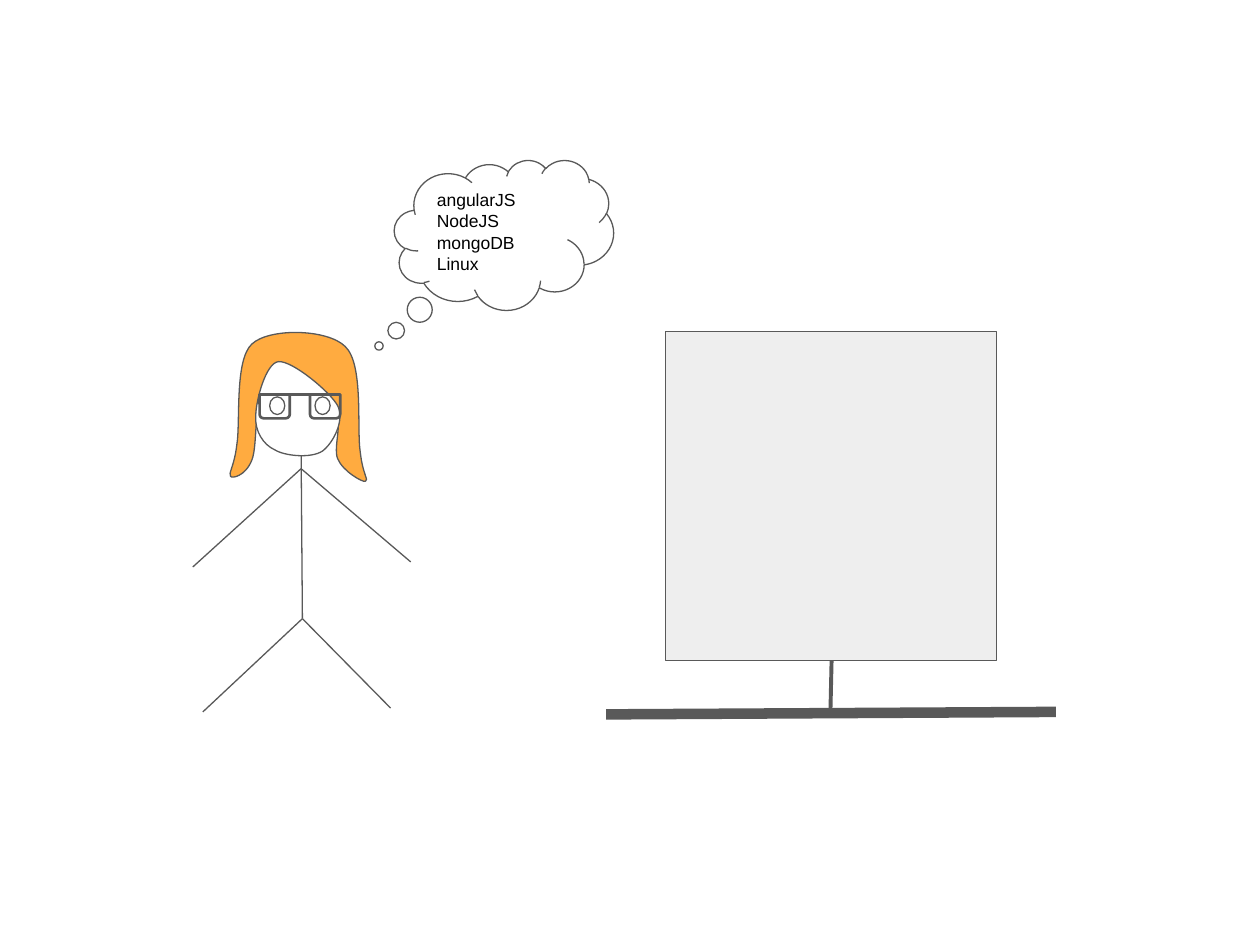
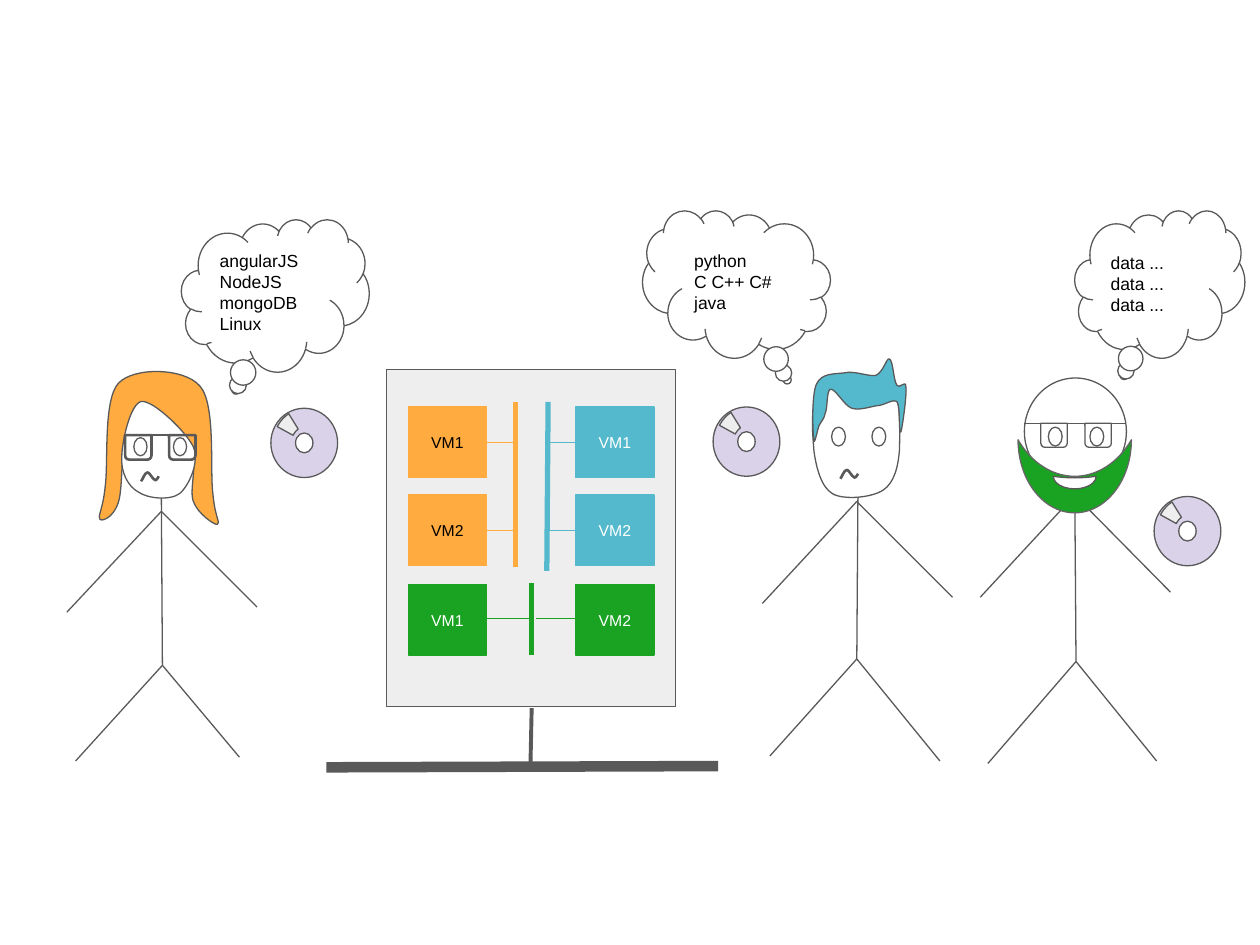
import copy
from dataclasses import dataclass

import pptx
import pptx.dml.color
import pptx.enum.shapes
import pptx.enum.text
import pptx.oxml.ns
import pptx.util
from lxml import etree

PRESET = pptx.enum.shapes.MSO_SHAPE
qn = pptx.oxml.ns.qn
PX = 9144  # 100 px to the inch
SLIDE_SIZE = (1000, 750)
INSET = 10


class Theme:
    font = "Arial"
    thought_size, label_size = 10, 9
    ink, beard_edge = "595959", "666666"
    black, white = "000000", "FFFFFF"
    panel, disc = "EEEEEE", "D9D2E9"
    orange, blue, green = "FFAB40", "55B9CD", "1AA222"
    thin, medium, stem, bus, base = 0.75, 1.5, 2.25, 3, 6


# Content: thoughts as box, tail adjustments, flipped, extra top inset, paragraphs
FIRST_THOUGHT = ((313, 127, 174, 119), (-0.57, 0.74), False, 0, ["angularJS\vNodeJS\vmongoDB\vLinux"])
THOUGHTS = [
    ((144, 174, 149, 121), (-0.21, 0.62), False, 0, ["angularJS NodeJS mongoDB", "Linux"]),
    ((510, 167, 149, 117), (-0.27, 0.65), True, 1, ["python\vC C++ C#", "java"]),
    ((853, 167, 135, 117), (-0.21, 0.62), False, 5, ["data ...\vdata ...", "data ..."]),
]

# Monitors: screen, stem, base
FIRST_MONITOR = ((528, 263, 263, 261), (660, 524, 659, 569), (481, 567, 838, 565))
SECOND_MONITOR = ((307, 293, 229, 268), (422, 562, 421, 608), (259, 609, 570, 608))

# Machines: label, column, row, fill, text colour, x where its wire ends
MACHINES = [
    ("VM1", 0, 0, Theme.orange, Theme.black, 409),
    ("VM2", 0, 1, Theme.orange, Theme.black, 409),
    ("VM1", 0, 2, Theme.green, Theme.white, 423),
    ("VM1", 1, 0, Theme.blue, Theme.white, 434),
    ("VM2", 1, 1, Theme.blue, Theme.white, 434),
    ("VM2", 1, 2, Theme.green, Theme.white, 425),
]
BUSES = [
    ((409, 319, 409, 450), Theme.orange),
    ((435, 319, 434, 453), Theme.blue),
    ((422, 463, 422, 520), Theme.green),
]
MACHINE_LEFTS, MACHINE_TOP, MACHINE_PITCH = (324, 457), 323, 70.5
MACHINE_WIDTH, MACHINE_HEIGHT = 62, 56
WIRE_TOP, WIRE_PITCH = 351, 70
DISCS = [(215, 324), (566, 323), (916, 394)]

# Bodies: neck, shoulder, hip, then hands and feet
WOMAN_BODY = ((239, 358), (239, 372), (240, 491), [(153, 450), (326, 446)], [(161, 565), (310, 562)])
MAN_BODY = ((681, 380), (680, 398), (680, 523), [(605, 479), (756, 474)], [(611, 600), (746, 604)])
BEARDED_BODY = ((853, 388), (853, 393), (854, 525), [(778, 474), (929, 470)], [(784, 606), (918, 604)])

# Where the woman stands on each slide: left, top, width, height
WOMAN_BOX, SMALL_WOMAN_BOX = (153, 264, 173, 301), (53, 295, 151, 309)

# Curves: a start point, then two control points and an end point per piece
WOMAN_HAIR = [
    (183, 378), (184, 380), (195, 378), (200, 365), (205, 353), (201, 310), (212, 303),
    (222, 296), (255, 311), (264, 321), (274, 332), (264, 354), (268, 364),
    (272, 374), (288, 383), (290, 382), (293, 381), (288, 377), (286, 359),
    (283, 341), (289, 289), (274, 275), (260, 261), (214, 260), (200, 273),
    (186, 286), (191, 335), (188, 353), (186, 370), (181, 376), (183, 378),
]
WOMAN_FACE = [
    (203, 330), (202, 342), (209, 353), (218, 357), (226, 362), (247, 364), (256, 358),
    (264, 352), (274, 334), (268, 322), (262, 311), (232, 286), (221, 287),
    (211, 288), (203, 318), (203, 330),
]
MAN_FACE = [
    (652, 309), (642, 318), (645, 344), (646, 358), (648, 372), (652, 387), (661, 392),
    (670, 397), (692, 395), (701, 389), (710, 383), (713, 370), (714, 356),
    (714, 342), (716, 313), (706, 305), (695, 297), (662, 300), (652, 309),
]
MAN_HAIR = [
    (646, 349), (645, 344), (644, 314), (648, 305), (652, 296), (662, 297), (670, 296),
    (678, 294), (689, 299), (695, 298), (701, 296), (704, 283), (706, 285),
    (709, 286), (709, 302), (712, 306), (714, 309), (719, 301), (719, 307),
    (720, 313), (716, 341), (715, 343), (713, 345), (715, 323), (712, 319),
    (709, 316), (702, 322), (696, 322), (690, 323), (682, 326), (676, 324),
    (670, 322), (663, 308), (659, 309), (656, 310), (657, 324), (655, 328),
    (654, 333), (652, 334), (650, 338), (649, 341), (646, 355), (646, 349),
]
WAVY_MOUTH = [(0, 7), (1, 6), (3, 0), (5, 0), (6, -1), (9, 5), (11, 6), (12, 7), (14, 3), (14, 3)]


def color(value):
    return pptx.dml.color.RGBColor.from_string(value)


def style(shape, fill, line=Theme.ink, width=Theme.thin):
    shape.shadow.inherit = False
    if fill:
        shape.fill.solid()
        shape.fill.fore_color.rgb = color(fill)
    else:
        shape.fill.background()
    shape.line.color.rgb = color(line)
    shape.line.width = pptx.util.Pt(width)


def write(shape, lines, size, text_color, alignment, drop=0):
    frame = shape.text_frame
    frame.word_wrap = True
    frame.vertical_anchor = pptx.enum.text.MSO_ANCHOR.MIDDLE
    frame.margin_left = frame.margin_right = frame.margin_bottom = INSET * PX
    frame.margin_top = (INSET + drop) * PX
    frame.text = "\n".join(lines)
    for paragraph in frame.paragraphs:
        paragraph.alignment = alignment
        for run in paragraph.runs:
            run.font.name = Theme.font
            run.font.size = pptx.util.Pt(size)
            run.font.color.rgb = color(text_color)
        # Line breaks take the type size of the runs
        for line_break in paragraph._p.findall(qn("a:br")):
            line_break.insert(0, copy.deepcopy(paragraph.runs[0]._r.find(qn("a:rPr"))))


@dataclass
class Canvas:
    """Draws on a slide, mapping the source box onto the target box."""
    slide: object
    source: tuple = (0, 0, 1, 1)
    target: tuple = (0, 0, 1, 1)

    def point(self, x, y):
        return tuple(round(PX * (self.target[axis] + (value - self.source[axis])
                                 * self.target[axis + 2] / self.source[axis + 2]))
                     for axis, value in enumerate((x, y)))

    def shape(self, preset, box, fill, line=Theme.ink, width=Theme.thin, adjustments=(), rotation=0):
        left, top, box_width, box_height = box
        x, y = self.point(left, top)
        right, bottom = self.point(left + box_width, top + box_height)
        shape = self.slide.shapes.add_shape(preset, x, y, right - x, bottom - y)
        for index, value in enumerate(adjustments):
            shape.adjustments[index] = value
        shape.rotation = rotation
        style(shape, fill, line, width)
        return shape

    def line(self, start, end, line=Theme.ink, width=Theme.thin):
        connector = self.slide.shapes.add_connector(
            pptx.enum.shapes.MSO_CONNECTOR.STRAIGHT, *self.point(*start), *self.point(*end))
        connector.line.color.rgb = color(line)
        connector.line.width = pptx.util.Pt(width)
        etree.SubElement(connector._element.spPr, qn("a:effectLst"))

    def curve(self, points, fill, width=Theme.thin, closed=True):
        points = [self.point(*point) for point in points]
        builder = self.slide.shapes.build_freeform(*points[0], scale=1.0)
        builder.add_line_segments(points[3::3], close=closed)
        shape = builder.convert_to_shape()
        # Turn each straight piece into a cubic one
        for index, piece in enumerate(list(shape._element.iter(qn("a:lnTo")))):
            piece.tag = qn("a:cubicBezTo")
            for order, (x, y) in enumerate(points[3 * index + 1:3 * index + 3]):
                control = etree.Element(qn("a:pt"), x=str(x - shape.left), y=str(y - shape.top))
                piece.insert(order, control)
        style(shape, fill, width=width)


# Shared parts
def draw_thought(canvas, box, tail, flipped, drop, lines):
    cloud = canvas.shape(PRESET.CLOUD_CALLOUT, box, Theme.white, adjustments=tail)
    if flipped:
        cloud._element.spPr.find(qn("a:xfrm")).set("flipH", "1")
    write(cloud, lines, Theme.thought_size, Theme.black, pptx.enum.text.PP_ALIGN.LEFT, drop)


def draw_monitor(canvas, screen, stem, base):
    canvas.shape(PRESET.RECTANGLE, screen, Theme.panel)
    canvas.line(base[:2], base[2:], width=Theme.base)
    canvas.line(stem[:2], stem[2:], width=Theme.stem)


def draw_body(canvas, neck, shoulder, hip, hands, feet):
    canvas.line(neck, hip)
    for joint, ends in ((shoulder, hands), (hip, feet)):
        for end in ends:
            canvas.line(joint, end)


def draw_eyes(canvas, lefts, top, size):
    for left in lefts:
        canvas.shape(PRESET.OVAL, (left, top, *size), Theme.white)


def draw_glasses(canvas, lefts, top, size, bar, width):
    for left in lefts:
        canvas.shape(PRESET.ROUND_2_SAME_RECTANGLE, (left, top, *size), None, width=width,
                     adjustments=(0.17, 0), rotation=180)
    canvas.line((bar[0], top), (bar[1], top), width=width)


def draw_wavy_mouth(canvas, left, top):
    points = [(left + x, top + y) for x, y in WAVY_MOUTH]
    canvas.curve(points, None, Theme.medium, closed=False)


# People
def draw_woman(canvas):
    draw_body(canvas, *WOMAN_BODY)
    canvas.curve(WOMAN_HAIR, Theme.orange)
    canvas.curve(WOMAN_FACE, Theme.white)
    draw_eyes(canvas, (214, 250), 315, (12, 14))
    draw_glasses(canvas, (206, 246), 313, (24, 19), (206, 270), Theme.medium)


def draw_man(canvas):
    draw_body(canvas, *MAN_BODY)
    canvas.curve(MAN_FACE, Theme.white)
    canvas.curve(MAN_HAIR, Theme.blue)
    draw_eyes(canvas, (660, 692), 339, (11, 15))
    draw_wavy_mouth(canvas, 667, 373)


def draw_bearded_man(canvas):
    draw_body(canvas, *BEARDED_BODY)
    canvas.shape(PRESET.OVAL, (813, 300, 81, 85), Theme.white)
    canvas.shape(PRESET.MOON, (824, 333, 58, 90), Theme.green, Theme.beard_edge,
                 adjustments=(0.5,), rotation=270)
    draw_eyes(canvas, (832, 865), 339, (11, 15))
    canvas.shape(PRESET.MOON, (848, 366, 10, 34), Theme.white, adjustments=(0.88,), rotation=270)
    draw_glasses(canvas, (826, 861), 336, (21, 19), (813, 893), Theme.thin)


# Virtual machines and discs
def draw_machines(canvas):
    for label, column, row, fill, text_color, wire_end in MACHINES:
        left = MACHINE_LEFTS[column]
        top = MACHINE_TOP + round(MACHINE_PITCH * row)
        machine = canvas.shape(PRESET.RECTANGLE, (left, top, MACHINE_WIDTH, MACHINE_HEIGHT), fill, fill)
        write(machine, [label], Theme.label_size, text_color, pptx.enum.text.PP_ALIGN.CENTER)
        edge = left if column else left + MACHINE_WIDTH
        wire = WIRE_TOP + WIRE_PITCH * row
        canvas.line((edge, wire), (wire_end, wire), fill)
    for ends, bus_color in BUSES:
        canvas.line(ends[:2], ends[2:], bus_color, Theme.bus)


def draw_disc(canvas, left, top):
    canvas.shape(PRESET.DONUT, (left, top, 53, 55), Theme.disc, adjustments=(0.37,))
    canvas.shape(PRESET.BLOCK_ARC, (left + 2, top, 53, 55), Theme.panel,
                 adjustments=(125.32, 142.98, 0.27))


def main():
    presentation = pptx.Presentation()
    presentation.slide_width, presentation.slide_height = (side * PX for side in SLIDE_SIZE)
    blank = presentation.slide_layouts[6]

    # Slide 1: one developer and an empty machine
    canvas = Canvas(presentation.slides.add_slide(blank))
    draw_woman(canvas)
    draw_monitor(canvas, *FIRST_MONITOR)
    draw_thought(canvas, *FIRST_THOUGHT)

    # Slide 2: three developers sharing the machine
    slide = presentation.slides.add_slide(blank)
    canvas = Canvas(slide)
    for thought in THOUGHTS:
        draw_thought(canvas, *thought)
    draw_woman(Canvas(slide, WOMAN_BOX, SMALL_WOMAN_BOX))
    draw_wavy_mouth(canvas, 112, 375)
    draw_monitor(canvas, *SECOND_MONITOR)
    draw_machines(canvas)
    draw_man(canvas)
    draw_bearded_man(canvas)
    for left, top in DISCS:
        draw_disc(canvas, left, top)

    presentation.save("out.pptx")


if __name__ == "__main__":
    main()
